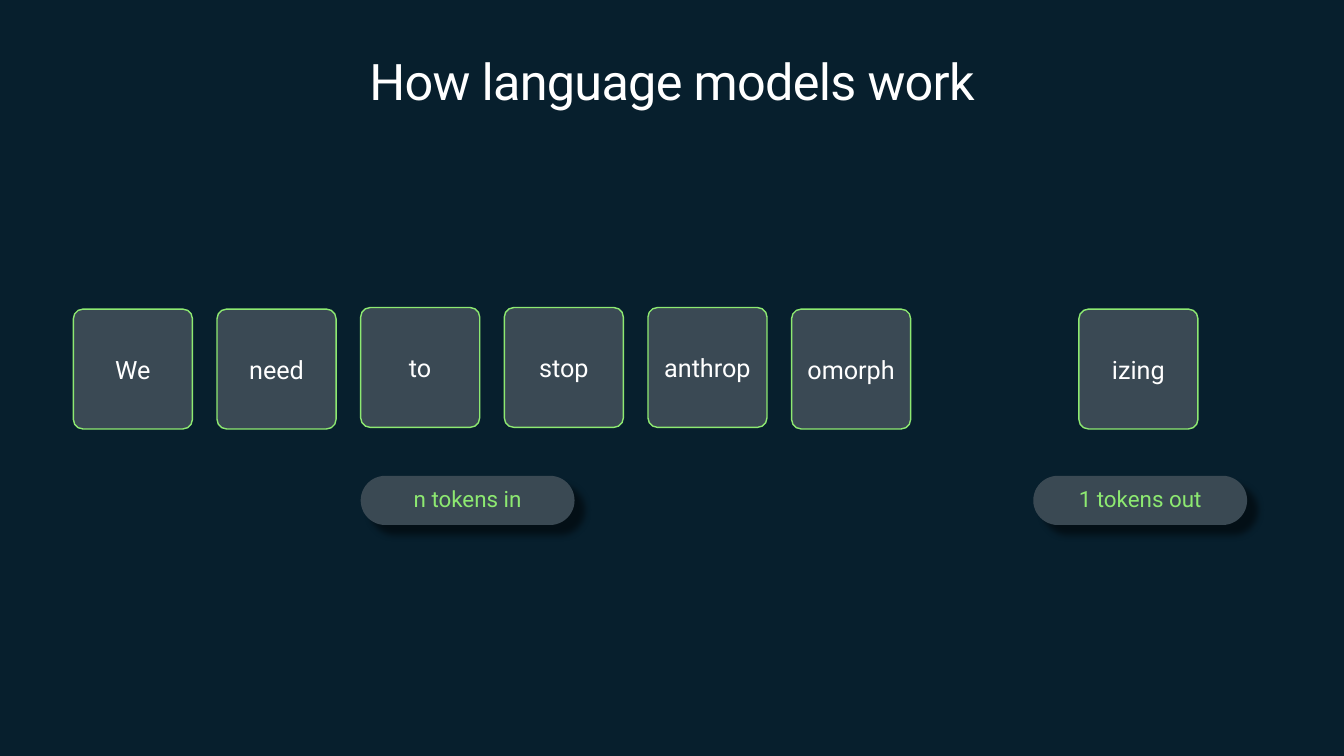
from lxml.etree import SubElement
from pptx import Presentation
from pptx.dml.color import RGBColor
from pptx.enum.shapes import MSO_SHAPE
from pptx.enum.text import MSO_ANCHOR, PP_ALIGN
from pptx.oxml.ns import qn
from pptx.util import Cm, Pt

TITLE = "How language models work"
# word, slot in the row, top in cm
TOKENS = [
    ("We", 0, 7.79),
    ("need", 1, 7.79),
    ("to", 2, 7.75),
    ("stop", 3, 7.75),
    ("anthrop", 4, 7.75),
    ("omorph", 5, 7.79),
    ("izing", 7, 7.79),
]
# label, left in cm
LABELS = [("n tokens in", 9.09), ("1 tokens out", 26.04)]

FONT = "Roboto"
BACKGROUND, TOKEN_FILL, LABEL_FILL = "071F2D", "3A4954", "3A4953"
GREEN, WHITE, BLACK = "8DE971", "FFFFFF", "000000"
ROW_LEFT, SLOT_PITCH = 1.85, 3.62
TOKEN_WIDTH, TOKEN_HEIGHT = 3, 3.02
LABEL_TOP, LABEL_WIDTH, LABEL_HEIGHT = 11.99, 5.39, 1.24


def color(value):
    return RGBColor.from_string(value)


def write(shape, text, size, text_color, side_inset, end_inset):
    """Fill the shape with one centred line of text and return its paragraph."""
    frame = shape.text_frame
    frame.word_wrap = True
    frame.margin_left = frame.margin_right = Cm(side_inset)
    frame.margin_top = frame.margin_bottom = Cm(end_inset)
    paragraph = frame.paragraphs[0]
    paragraph.alignment = PP_ALIGN.CENTER
    run = paragraph.add_run()
    run.text = text
    run.font.name = FONT
    run.font.size = Pt(size)
    run.font.color.rgb = color(text_color)
    return paragraph


def add_rounded_box(slide, left, top, width, height, corner, fill):
    shape = slide.shapes.add_shape(
        MSO_SHAPE.ROUNDED_RECTANGLE, Cm(left), Cm(top), Cm(width), Cm(height))
    shape.adjustments[0] = corner
    shape.shadow.inherit = False
    shape.fill.solid()
    shape.fill.fore_color.rgb = color(fill)
    shape.text_frame.vertical_anchor = MSO_ANCHOR.MIDDLE
    return shape


def add_token(slide, word, slot, top):
    shape = add_rounded_box(slide, ROW_LEFT + slot * SLOT_PITCH, top,
                            TOKEN_WIDTH, TOKEN_HEIGHT, 0.08, TOKEN_FILL)
    shape.line.color.rgb = color(GREEN)
    shape.line.width = Pt(1)
    write(shape, word, 18, WHITE, 0.25, 0.13)


def add_drop_shadow(shape):
    effects = shape._element.spPr.find(qn("a:effectLst"))
    shadow = SubElement(effects, qn("a:outerShdw"), blurRad=str(Pt(5)),
                        dist=str(Pt(10)), dir=str(45 * 60000),
                        algn="tl", rotWithShape="0")
    shade = SubElement(shadow, qn("a:srgbClr"), val=BLACK)
    SubElement(shade, qn("a:alpha"), val="50000")


def add_label(slide, text, left):
    shape = add_rounded_box(slide, left, LABEL_TOP, LABEL_WIDTH, LABEL_HEIGHT,
                            0.5, LABEL_FILL)
    shape.line.fill.background()
    add_drop_shadow(shape)
    write(shape, text, 16, GREEN, 0.3, 0).line_spacing = 0.9


def add_title(slide):
    box = slide.shapes.add_textbox(Cm(1.63), Cm(1.27), Cm(30.61), Cm(1.55))
    paragraph = write(box, TITLE, 36, WHITE, 0, 0)
    paragraph.runs[0].font._element.set("spc", "-50")


def main():
    presentation = Presentation()
    presentation.slide_width = Cm(33.87)
    presentation.slide_height = Cm(19.05)
    slide = presentation.slides.add_slide(presentation.slide_layouts[6])
    slide.background.fill.solid()
    slide.background.fill.fore_color.rgb = color(BACKGROUND)

    for word, slot, top in TOKENS:
        add_token(slide, word, slot, top)
    add_title(slide)
    for text, left in LABELS:
        add_label(slide, text, left)
    presentation.save("out.pptx")


if __name__ == "__main__":
    main()
